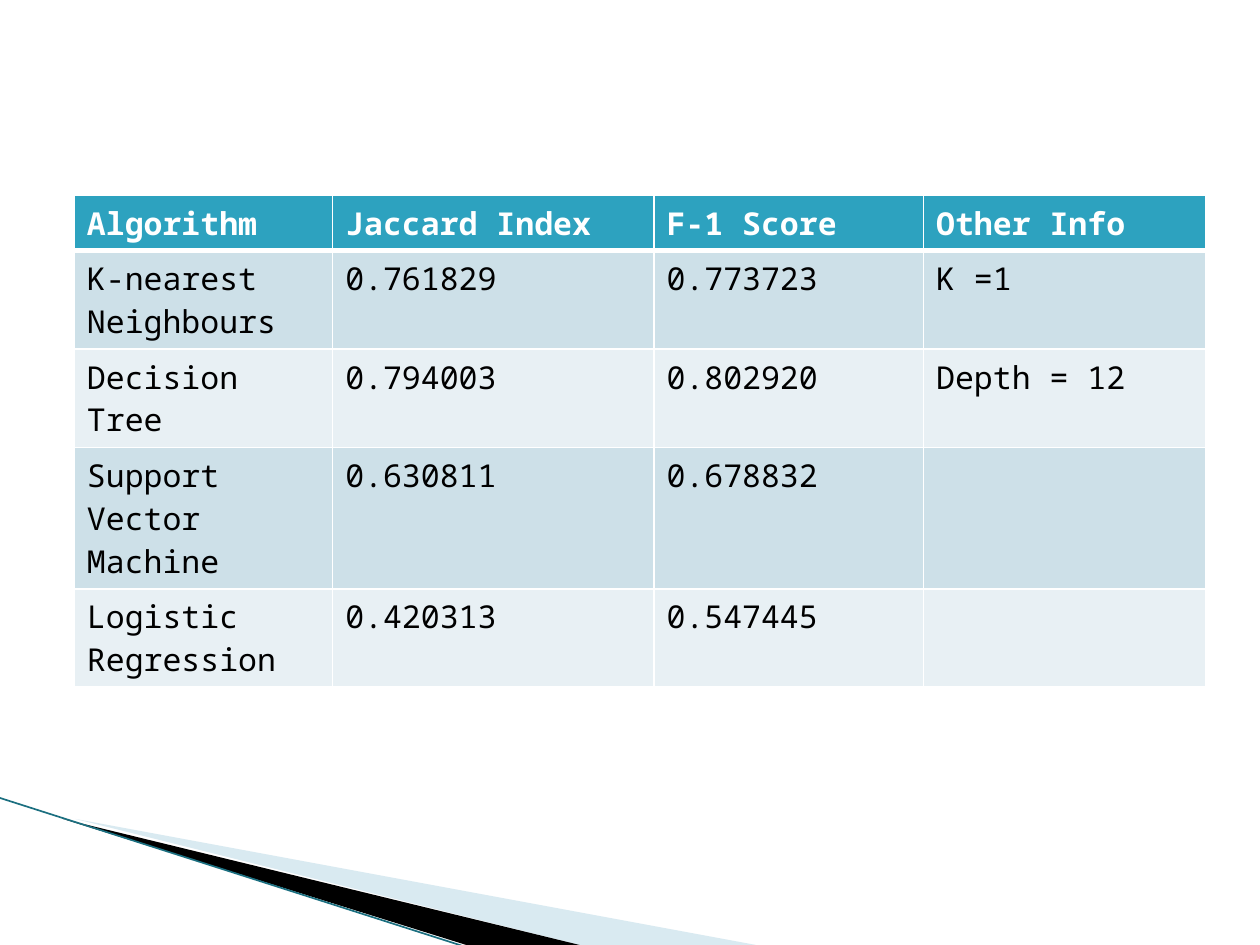
from lxml.etree import SubElement
from pptx import Presentation
from pptx.dml.color import RGBColor
from pptx.enum.shapes import MSO_CONNECTOR as Connector
from pptx.oxml.ns import qn
from pptx.util import Inches, Pt

COLORS = {
    "header": "2DA2BF",
    "band_dark": "CDE0E8",
    "band_light": "E8F0F4",
    "white": "FFFFFF",
    "black": "000000",
    "wedge": "A0CBDC",
    "edge": "1B6F80",
}
UNIT = Inches(0.1)  # the slide is a grid of 100 columns by 75 rows
FONT = "Noto Sans Mono"


class Deck:
    def __init__(self):
        self.prs = Presentation()
        self.prs.slide_width = 100 * UNIT
        self.prs.slide_height = 75 * UNIT
        self.s = self.prs.slides.add_slide(self.prs.slide_layouts[6])

    @staticmethod
    def rgb(name):
        return RGBColor.from_string(COLORS[name])

    @staticmethod
    def grid(*values):
        return [round(v * UNIT) for v in values]

    def polygon(self, points, color, opacity=100):
        builder = self.s.shapes.build_freeform(*points[0], scale=UNIT)
        builder.add_line_segments(points[1:], close=True)
        sp = builder.convert_to_shape()
        sp.shadow.inherit = False
        sp.line.fill.background()
        sp.fill.solid()
        sp.fill.fore_color.rgb = self.rgb(color)
        if opacity < 100:
            clr = sp.fill._xPr.find(".//" + qn("a:srgbClr"))
            SubElement(clr, qn("a:alpha"), val=str(opacity * 1000))

    def line(self, start, end, color, width):
        cxn = self.s.shapes.add_connector(Connector.STRAIGHT, *self.grid(*start, *end))
        cxn.line.color.rgb = self.rgb(color)
        cxn.line.width = Pt(width)
        SubElement(cxn._element.spPr, qn("a:effectLst"))

    def borders(self, cell, **widths):
        tc_pr = cell._tc.get_or_add_tcPr()
        for side in "LRTB":
            ln = SubElement(tc_pr, qn("a:ln" + side), w=str(Pt(widths.get(side, 1))))
            fill = SubElement(ln, qn("a:solidFill"))
            SubElement(fill, qn("a:srgbClr"), val=COLORS["white"])

    def cell(self, cell, text, fill, color, bold):
        cell.fill.solid()
        cell.fill.fore_color.rgb = self.rgb(fill)
        p = cell.text_frame.paragraphs[0]
        p.font.size = Pt(18)
        if text:
            r = p.add_run()
            r.text = text
            r.font.name, r.font.size, r.font.bold = FONT, Pt(18), bold
            r.font.color.rgb = self.rgb(color)

    def table(self, left, top, widths, row_height, rows):
        box = self.grid(left, top, sum(widths), row_height * len(rows))
        table = self.s.shapes.add_table(len(rows), len(widths), *box).table
        for column, width in zip(table.columns, self.grid(*widths)):
            column.width = width
        for i, values in enumerate(rows):
            head = i == 0
            fill = "header" if head else ("band_light", "band_dark")[i % 2]
            for j, text in enumerate(values):
                cell = table.cell(i, j)
                self.borders(cell, T=3 if i == 1 else 1, B=3 if head else 1)
                self.cell(cell, text, fill, "white" if head else "black", head)


def main():
    deck = Deck()

    # Corner decoration
    deck.polygon([(5.5, 65.1), (59.5, 75.1), (45.6, 75.1), (5.5, 65)], "wedge", 40)
    deck.polygon([(5.3, 64.9), (45.7, 75.1), (37.2, 75.2), (5.4, 65)], "black")
    deck.line((-0.1, 63.3), (37.1, 75.2), "edge", 0.95)

    # Scores by algorithm
    deck.table(5.9, 15.5, [20.5, 25.5, 21.4, 22.4], 4.1, [
        ("Algorithm", "Jaccard Index", "F-1 Score", "Other Info"),
        ("K-nearest Neighbours", "0.761829", "0.773723", "K =1"),
        ("Decision Tree", "0.794003", "0.802920", "Depth = 12"),
        ("Support Vector Machine", "0.630811", "0.678832", ""),
        ("Logistic Regression", "0.420313", "0.547445", ""),
    ])

    deck.prs.save("out.pptx")


if __name__ == "__main__":
    main()
